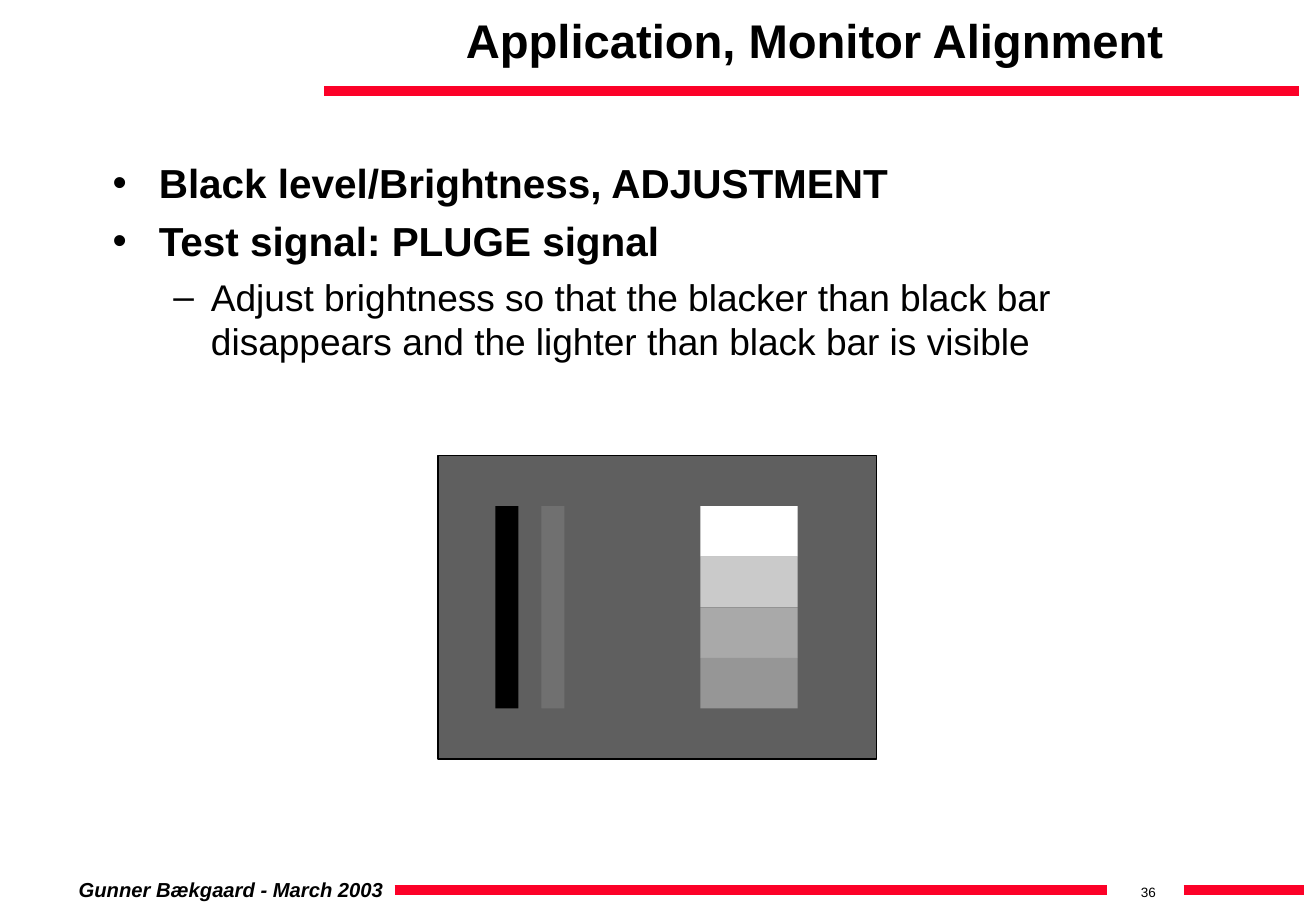
from lxml import etree
from pptx import Presentation
from pptx.dml.color import RGBColor
from pptx.enum.shapes import MSO_CONNECTOR, MSO_SHAPE
from pptx.enum.text import MSO_ANCHOR, PP_ALIGN
from pptx.oxml.ns import qn
from pptx.util import Inches, Pt

BLACK = RGBColor(0x00, 0x00, 0x00)
RED = RGBColor(0xFC, 0x01, 0x28)
FIELD_GREY = RGBColor(0x5F, 0x5F, 0x5F)
LIGHTER_THAN_BLACK = RGBColor(0x70, 0x70, 0x70)
GREY_STEPS = [RGBColor(v, v, v) for v in (0xFF, 0xCA, 0xA9, 0x96)]

prs = Presentation()
prs.slide_width, prs.slide_height = Inches(10.84), Inches(7.5)
s = prs.slides.add_slide(prs.slide_layouts[6])


def add_text(x, y, w, h, lines, size, bold=False, italic=False, wrap=True):
    tf = s.shapes.add_textbox(Inches(x), Inches(y), Inches(w), Inches(h)).text_frame
    tf.word_wrap = wrap
    for i, line in enumerate(lines):
        p = tf.paragraphs[0] if i == 0 else tf.add_paragraph()
        r = p.add_run()
        r.text = line
        r.font.name, r.font.size = "Arial", Pt(size)
        r.font.bold, r.font.italic = bold, italic
        r.font.color.rgb = BLACK
    return tf


def add_rect(x, y, w, h, color):
    sp = s.shapes.add_shape(MSO_SHAPE.RECTANGLE, Inches(x), Inches(y), Inches(w), Inches(h))
    sp.shadow.inherit = False
    sp.fill.solid()
    sp.fill.fore_color.rgb = color
    sp.line.fill.background()
    return sp


# Red rules at the top and in the footer
for x1, x2, y in [(2.67, 10.7, 0.75), (3.25, 9.12, 7.33), (9.75, 10.74, 7.33)]:
    rule = s.shapes.add_connector(MSO_CONNECTOR.STRAIGHT, Inches(x1), Inches(y), Inches(x2), Inches(y))
    rule.line.color.rgb = RED
    rule.line.width = Pt(6)
    etree.SubElement(rule._element.spPr, qn("a:effectLst"))

# Footer
add_text(9.3, 7.23, 0.38, 0.23, ["36"], 8)
add_text(0.55, 7.17, 2.71, 0.3, ["Gunner Bækgaard - March 2003"], 12, bold=True, italic=True, wrap=False)

# PLUGE test signal, in six equal rows
left, top, width, height = 3.61, 3.75, 3.61, 2.5
row = height / 6
field = add_rect(left, top, width, height, FIELD_GREY)
field.line.color.rgb = BLACK
field.line.width = Pt(1)
for x, color in [(4.08, BLACK), (4.46, LIGHTER_THAN_BLACK)]:
    add_rect(x, top + row, 0.19, 4 * row, color)
for i, color in enumerate(GREY_STEPS, start=1):
    add_rect(5.77, top + i * row, 0.8, row, color)

# Title
tf = add_text(2.67, 0.08, 8.08, 0.5, ["Application, Monitor Alignment"], 28, bold=True)
tf.vertical_anchor = MSO_ANCHOR.MIDDLE
tf.paragraphs[0].alignment = PP_ALIGN.CENTER

# Body: two bullets and one sub-point
tf = add_text(0.83, 1.25, 9.17, 5.5, [
    "Black level/Brightness, ADJUSTMENT",
    "Test signal: PLUGE signal",
    "Adjust brightness so that the blacker than black bar disappears "
    "and the lighter than black bar is visible",
], 24, bold=True)
levels = [(0, 0.38, 0.38, "•", 6), (0, 0.38, 0.38, "•", 6), (1, 0.81, 0.31, "–", 5.5)]
for p, (level, margin, hang, bullet, before) in zip(tf.paragraphs, levels):
    p.level = level
    p.space_before = Pt(before)
    pPr = p._p.get_or_add_pPr()
    pPr.set("marL", str(Inches(margin)))
    pPr.set("indent", str(-Inches(hang)))
    etree.SubElement(pPr, qn("a:buFont")).set("typeface", "Arial")
    etree.SubElement(pPr, qn("a:buChar")).set("char", bullet)
sub_point = tf.paragraphs[2].runs[0].font
sub_point.size, sub_point.bold = Pt(22), False

prs.save("out.pptx")
